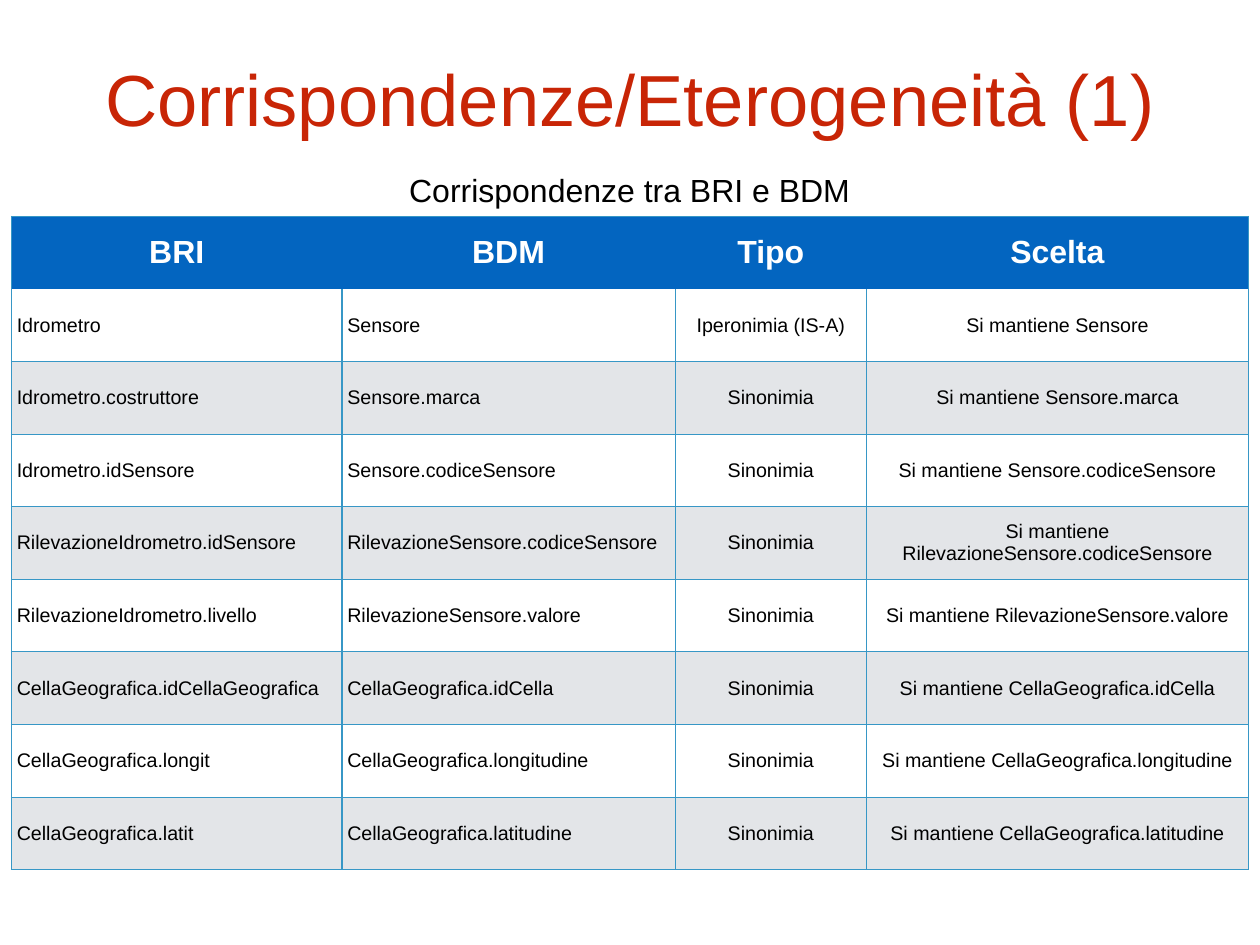
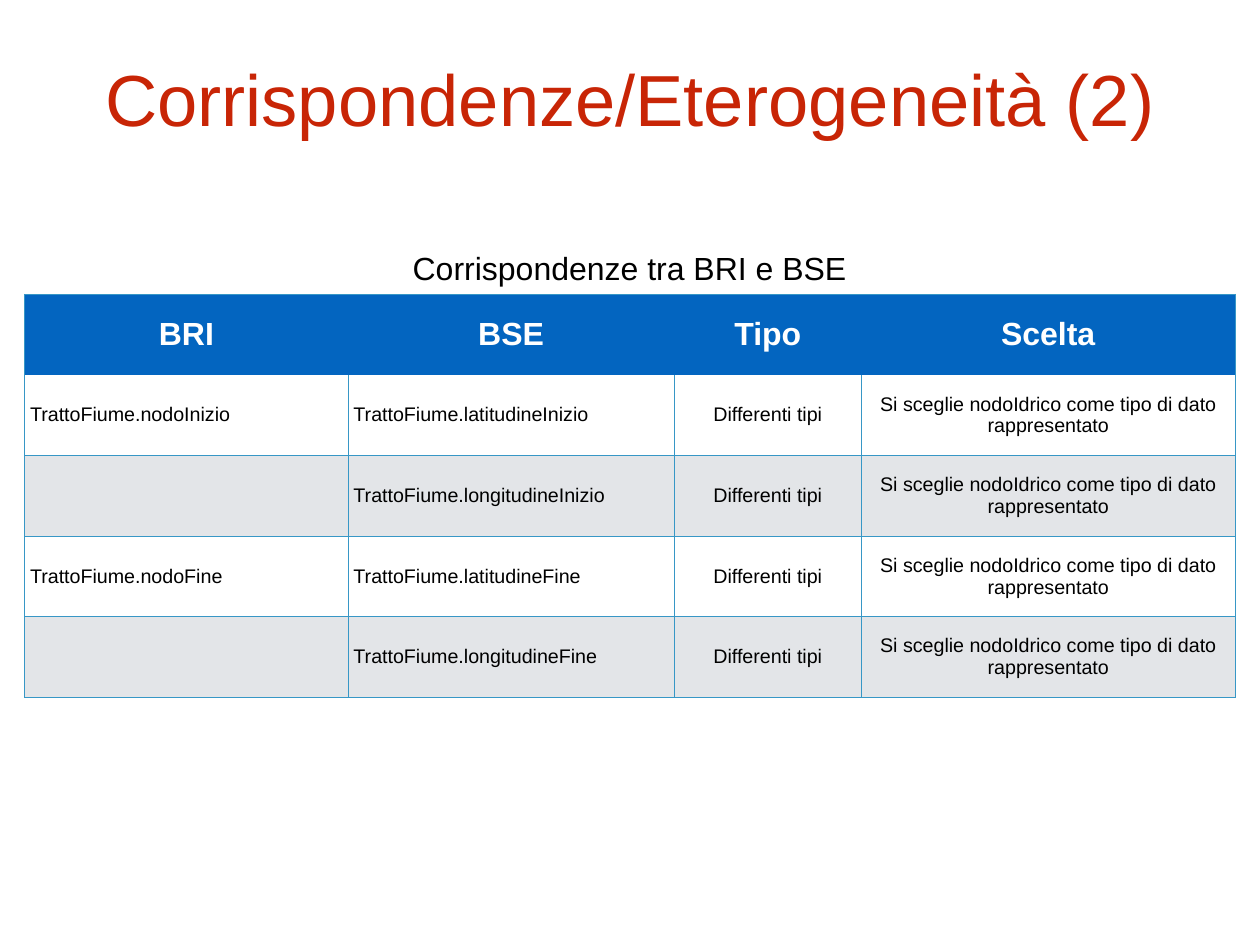
from lxml import etree
from pptx import Presentation
from pptx.dml.color import RGBColor
from pptx.enum.text import MSO_ANCHOR, PP_ALIGN
from pptx.oxml.ns import qn
from pptx.util import Inches, Pt

LEFT, CENTER = PP_ALIGN.LEFT, PP_ALIGN.CENTER
MIDDLE = MSO_ANCHOR.MIDDLE

SLIDE_WIDTH, SLIDE_HEIGHT = 14.22, 10.67
TITLE_BOX = (1.04, 0.49, 12.14, 1.22)
COLUMN_WEIGHTS = (3.73, 3.76, 2.16, 4.31)
COLUMN_ALIGNMENTS = (LEFT, LEFT, CENTER, CENTER)
CAPTION_HEIGHT = 0.54
CELL_MARGIN = 0.06
BORDER_COLOR = "3797C6"
BAND_FILLS = ("FFFFFF", "E3E5E8")
HEADER_FILL = "0365C0"

TITLE_FONT = {"size": Pt(58.8), "name": "Arial", "bold": False, "color": "C82506"}
CAPTION_FONT = {"size": Pt(26), "name": "Arial", "bold": False, "color": "000000"}
HEADER_FONT = {**CAPTION_FONT, "bold": True, "color": "FFFFFF"}
BODY_FONT = {**CAPTION_FONT, "size": Pt(16)}

FIUME_CHOICE = "Si sceglie nodoIdrico come tipo di dato rappresentato"
SLIDES = [
    {
        "title": "Corrispondenze/Eterogeneità (1)",
        "caption": "Corrispondenze tra BRI e BDM",
        "header": ("BRI", "BDM", "Tipo", "Scelta"),
        "top": 1.89, "width": 13.96, "row_height": 0.82,
        "rows": [("Idrometro", "Sensore", "Iperonimia (IS-A)", "Si mantiene Sensore")] + [
            (source, target, "Sinonimia", f"Si mantiene {target}")
            for source, target in (
                ("Idrometro.costruttore", "Sensore.marca"),
                ("Idrometro.idSensore", "Sensore.codiceSensore"),
                ("RilevazioneIdrometro.idSensore", "RilevazioneSensore.codiceSensore"),
                ("RilevazioneIdrometro.livello", "RilevazioneSensore.valore"),
                ("CellaGeografica.idCellaGeografica", "CellaGeografica.idCella"),
                ("CellaGeografica.longit", "CellaGeografica.longitudine"),
                ("CellaGeografica.latit", "CellaGeografica.latitudine"),
            )
        ],
    },
    {
        "title": "Corrispondenze/Eterogeneità (2)",
        "caption": "Corrispondenze tra BRI e BSE",
        "header": ("BRI", "BSE", "Tipo", "Scelta"),
        "top": 2.77, "width": 13.66, "row_height": 0.91,
        "rows": [
            (source, target, "Differenti tipi", FIUME_CHOICE)
            for source, target in (
                ("TrattoFiume.nodoInizio", "TrattoFiume.latitudineInizio"),
                ("", "TrattoFiume.longitudineInizio"),
                ("TrattoFiume.nodoFine", "TrattoFiume.latitudineFine"),
                ("", "TrattoFiume.longitudineFine"),
            )
        ],
    },
]


def rgb(color):
    return RGBColor.from_string(color)


def write_text(paragraph, text, font_format, alignment):
    paragraph.alignment = alignment
    font = paragraph.font
    if text:
        run = paragraph.add_run()
        run.text = text
        font = run.font
    for name, value in font_format.items():
        if name == "color":
            font.color.rgb = rgb(value)
        else:
            setattr(font, name, value)


def set_borders(cell, sides):
    """Draw the sides named by the letters L, R, T and B; clear the others."""
    properties = cell._tc.get_or_add_tcPr()
    for position, side in enumerate("LRTB"):
        line = etree.Element(qn(f"a:ln{side}"), w=str(Pt(1)))
        if side in sides:
            fill = etree.SubElement(line, qn("a:solidFill"))
            etree.SubElement(fill, qn("a:srgbClr"), val=BORDER_COLOR)
        else:
            etree.SubElement(line, qn("a:noFill"))
        properties.insert(position, line)


def format_cell(cell, text, font_format, alignment, fill, sides):
    cell.vertical_anchor = MIDDLE
    for edge in ("left", "right", "top", "bottom"):
        setattr(cell, f"margin_{edge}", Inches(CELL_MARGIN))
    if fill:
        cell.fill.solid()
        cell.fill.fore_color.rgb = rgb(fill)
    else:
        cell.fill.background()
    set_borders(cell, sides)
    write_text(cell.text_frame.paragraphs[0], text, font_format, alignment)


def add_title(slide, text, box):
    frame = slide.shapes.add_textbox(*map(Inches, box)).text_frame
    frame.word_wrap = True
    frame.vertical_anchor = MIDDLE
    for edge in ("left", "right", "top", "bottom"):
        setattr(frame, f"margin_{edge}", 0)
    write_text(frame.paragraphs[0], text, TITLE_FONT, CENTER)


def add_correspondence_table(slide, content, left, top, width):
    """Place a table with a merged caption row, a header row and banded rows."""
    row_height = content["row_height"]
    heights = [CAPTION_HEIGHT] + [row_height] * (len(content["rows"]) + 1)
    columns = len(COLUMN_WEIGHTS)
    table = slide.shapes.add_table(
        len(heights), columns, *map(Inches, (left, top, width, sum(heights)))
    ).table
    table.first_row = table.horz_banding = False
    for row, height in zip(table.rows, heights):
        row.height = Inches(height)
    for column, weight in zip(table.columns, COLUMN_WEIGHTS):
        column.width = Inches(width * weight / sum(COLUMN_WEIGHTS))

    table.cell(0, 0).merge(table.cell(0, columns - 1))
    caption_row = [content["caption"]] + [""] * (columns - 1)
    for index, text in enumerate(caption_row):
        format_cell(table.cell(0, index), text, CAPTION_FONT, CENTER, None, "B")

    for index, text in enumerate(content["header"]):
        sides = "T" + {0: "L", columns - 1: "R"}.get(index, "")
        format_cell(table.cell(1, index), text, HEADER_FONT, CENTER, HEADER_FILL, sides)

    for number, texts in enumerate(content["rows"]):
        sides = "LRTB" if number else "LRB"
        fill = BAND_FILLS[number % 2]
        for index, (text, alignment) in enumerate(zip(texts, COLUMN_ALIGNMENTS)):
            cell = table.cell(number + 2, index)
            format_cell(cell, text, BODY_FONT, alignment, fill, sides)


def add_correspondence_slide(presentation, content):
    slide = presentation.slides.add_slide(presentation.slide_layouts[6])
    add_title(slide, content["title"], TITLE_BOX)
    width = content["width"]
    left = (SLIDE_WIDTH - width) / 2
    add_correspondence_table(slide, content, left, content["top"], width)


def main():
    presentation = Presentation()
    presentation.slide_width = Inches(SLIDE_WIDTH)
    presentation.slide_height = Inches(SLIDE_HEIGHT)
    for content in SLIDES:
        add_correspondence_slide(presentation, content)
    presentation.save("out.pptx")


if __name__ == "__main__":
    main()
